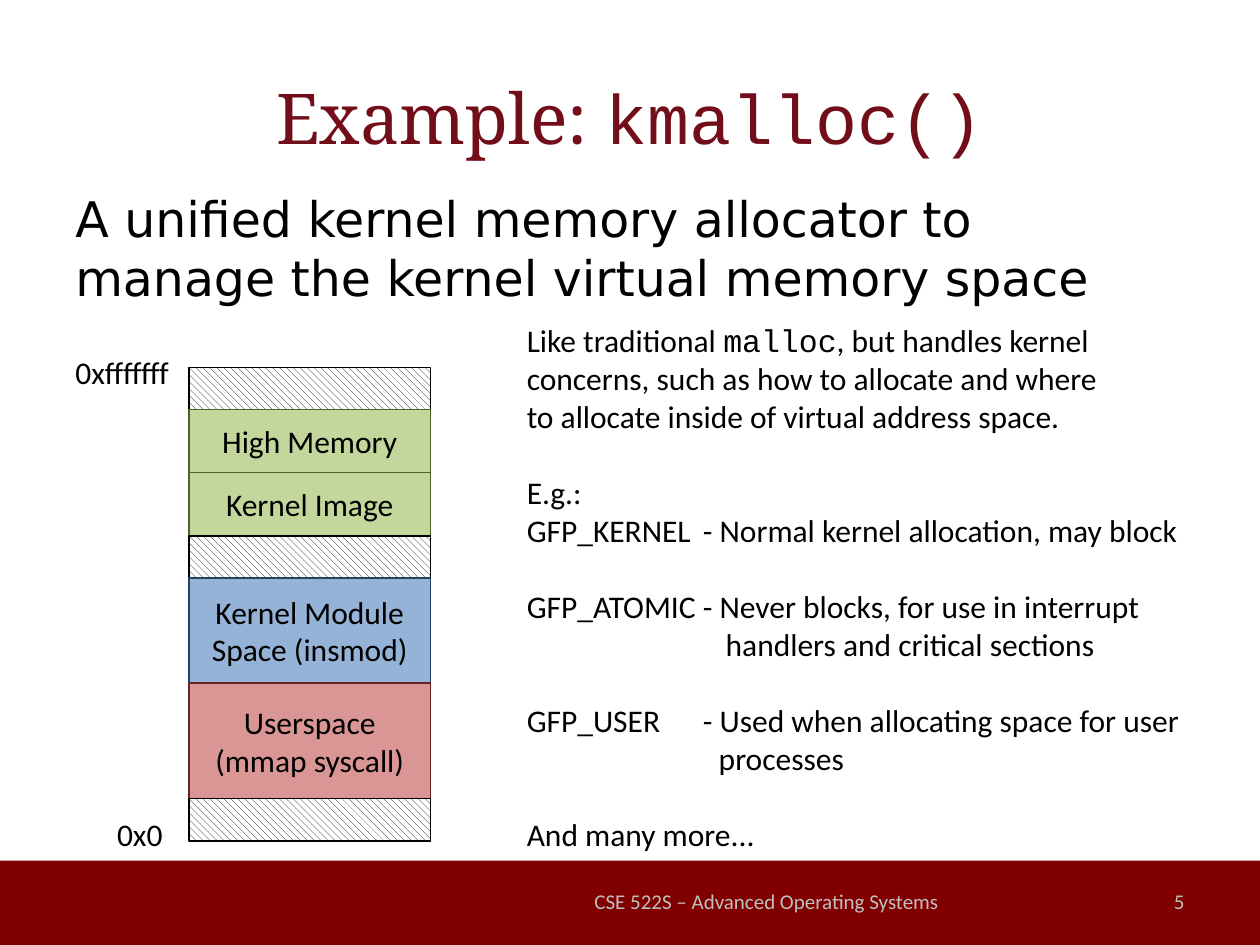
"""Build the kmalloc() slide with its kernel memory map."""
from pptx import Presentation
from pptx.dml.color import RGBColor
from pptx.enum import dml, shapes, text
from pptx.util import Cm, Pt

BLACK = RGBColor(0, 0, 0)
WHITE = RGBColor(255, 255, 255)
MAROON = RGBColor(0x80, 0, 0)
WINE = RGBColor(0x72, 0x0D, 0x1A)
GREY = RGBColor(0xBF, 0xBF, 0xBF)
GREEN = RGBColor(0xC3, 0xD6, 0x9B), RGBColor(0x4F, 0x62, 0x28)
BLUE = RGBColor(0x95, 0xB3, 0xD7), RGBColor(0x25, 0x40, 0x61)
RED = RGBColor(0xD9, 0x96, 0x94), RGBColor(0x63, 0x25, 0x23)
SANS, MONO = "Calibri", "Courier New"
LEFT, MID, RIGHT = text.PP_ALIGN.LEFT, text.PP_ALIGN.CENTER, text.PP_ALIGN.RIGHT

TITLE = [("Example: ", "Noto Serif"), ("kmalloc()", MONO)]
LEAD = "A unified kernel memory allocator to manage the kernel virtual memory space"
COURSE = "CSE 522S – Advanced Operating Systems"
GAP = 0.85, None, []
STACK = [
    GAP,
    (1.27, GREEN, ["High Memory"]),
    (1.27, GREEN, ["Kernel Image"]),
    GAP,
    (2.12, BLUE, ["Kernel Module Space (insmod)"]),
    (2.33, RED, ["Userspace", "(mmap syscall)"]),
    GAP,
]
STACK_X, STACK_Y, STACK_W = 3.81, 7.41, 4.87
ENDS = [("0xfffffff", 1.27, 6.99, 2.44), ("0x0", 2.11, 16.3, 1.45)]
INTRO = [("Like traditional ", SANS), ("malloc", MONO), (", but handles kernel", SANS)]
DASH = 3.55
NOTES = [
    (INTRO, 0, 0, 0),
    ("concerns, such as how to allocate and where", 0, 0, 0),
    ("to allocate inside of virtual address space.", 0, 0, 0),
    ("E.g.:", 0, 0, 22),
    ("GFP_KERNEL\t- Normal kernel allocation, may block", DASH, -DASH, 0),
    ("GFP_ATOMIC\t- Never blocks, for use in interrupt", DASH, -DASH, 22),
    ("handlers and critical sections", 4.01, 0, 0),
    ("GFP_USER\t- Used when allocating space for user", DASH, -DASH, 22),
    ("processes", 3.87, 0, 0),
    ("And many more...", 0, 0, 22),
]


def write(frame, lines, size, font=SANS, color=BLACK, align=LEFT):
    for i, line in enumerate(lines):
        para = frame.paragraphs[0] if i == 0 else frame.add_paragraph()
        para.alignment = align
        para.font.size, para.font.color.rgb = Pt(size), color
        if isinstance(line, str):
            para.text, para.font.name = line, font
            continue
        for words, face in line:
            run = para.add_run()
            run.text, run.font.name = words, face


def label(slide, box, lines, size, middle=False, wrap=True, **style):
    frame = slide.shapes.add_textbox(*map(Cm, box)).text_frame
    frame.word_wrap = wrap
    if middle:
        frame.vertical_anchor = text.MSO_ANCHOR.MIDDLE
    write(frame, lines, size, **style)
    return frame


def block(slide, box, fill):
    rect = slide.shapes.add_shape(shapes.MSO_SHAPE.RECTANGLE, *map(Cm, box))
    rect.shadow.inherit = False
    if fill:
        rect.fill.solid()
        rect.fill.fore_color.rgb = fill
    return rect


def stack(slide):
    top = STACK_Y
    for high, tint, lines in STACK:
        fill, edge = tint or (None, BLACK)
        rect = block(slide, (STACK_X, top, STACK_W, high), fill)
        rect.line.color.rgb = edge
        rect.line.width = Pt(0.75 if tint else 1)
        if not tint:
            rect.fill.patterned()
            rect.fill.pattern = dml.MSO_PATTERN.WIDE_DOWNWARD_DIAGONAL
            rect.fill.fore_color.rgb, rect.fill.back_color.rgb = BLACK, WHITE
        rect.text_frame.vertical_anchor = text.MSO_ANCHOR.MIDDLE
        write(rect.text_frame, lines, 18, align=MID)
        top += high


def notes(slide):
    frame = label(slide, (10.37, 6.35, 13.84, 11.02), [n[0] for n in NOTES], 18)
    for para, (_, left, hang, before) in zip(frame.paragraphs, NOTES):
        para.space_before = Pt(before)
        props = para._p.get_or_add_pPr()
        props.set("marL", str(Cm(left)))
        props.set("indent", str(Cm(hang)))


def main():
    deck = Presentation()
    deck.slide_width, deck.slide_height = Cm(25.4), Cm(19.05)
    slide = deck.slides.add_slide(deck.slide_layouts[6])
    block(slide, (0, 17.35, 25.4, 1.7), MAROON).line.fill.background()
    label(slide, (1.27, 0.76, 22.86, 3.18), [TITLE], 40, True, color=WINE, align=MID)
    lead = label(slide, (1.27, 3.68, 22.86, 12.57), [LEAD], 28, font="DejaVu Sans")
    lead.paragraphs[0].space_before = Pt(5.6)
    label(slide, (11.43, 17.65, 8.05, 1.02), [COURSE], 12, True, color=GREY, align=MID)
    label(slide, (18.21, 17.65, 5.92, 1.02), ["5"], 12, True, color=GREY, align=RIGHT)
    stack(slide)
    notes(slide)
    for words, left, top, wide in ENDS:
        label(slide, (left, top, wide, 1.02), [words], 18, wrap=False)
    deck.save("out.pptx")


if __name__ == "__main__":
    main()
